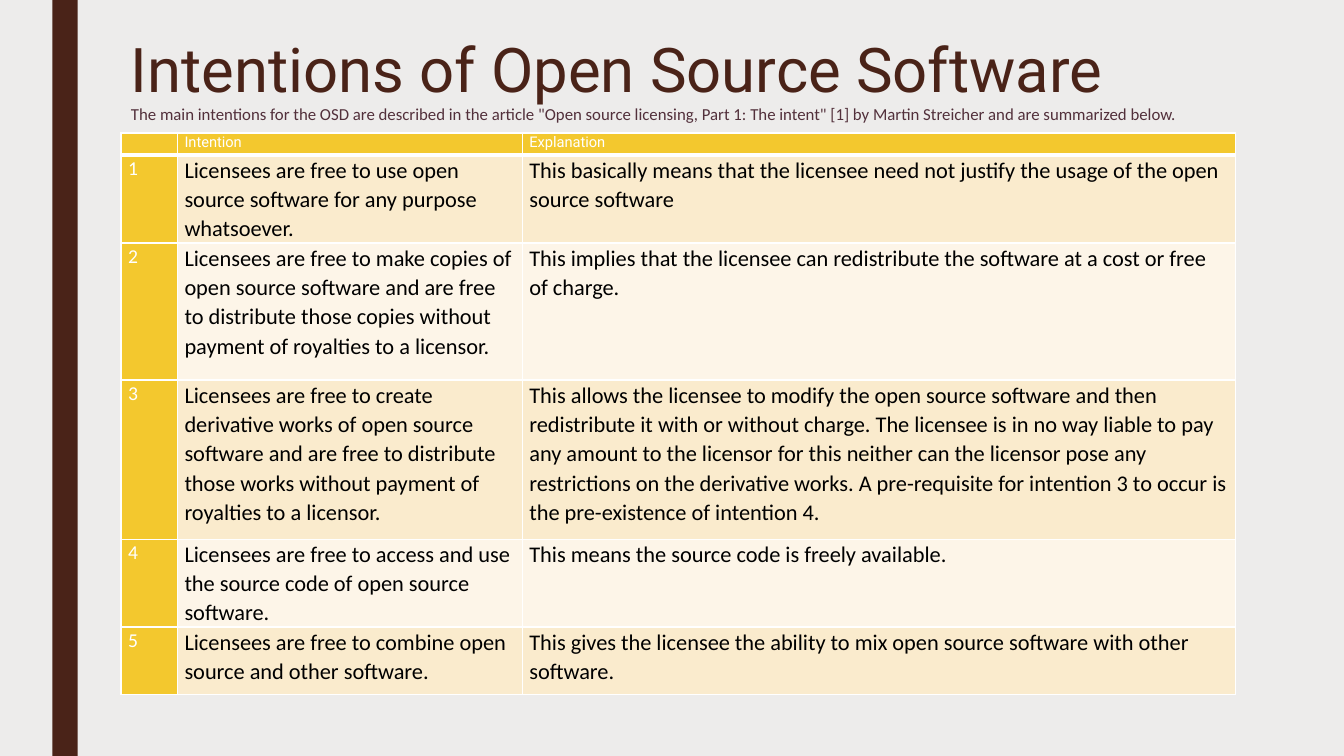
from lxml.etree import SubElement
from pptx import Presentation
from pptx.dml.color import RGBColor
from pptx.enum.shapes import MSO_SHAPE
from pptx.oxml.ns import qn
from pptx.util import Cm, Pt


def colour(value):
    return RGBColor.from_string(value)


def write(para, text, spacing, look):
    para.line_spacing = spacing
    span = para.add_run()
    span.text = text
    span.font.color.rgb = colour(look["color"])
    for name in ("name", "size"):
        setattr(span.font, name, look[name])


BROWN = "4A2318"
YELLOW = "F3C82E"
WHITE = "FFFFFF"
BANDS = ["FAEBCD", "FDF5E8"]
TITLE = {"name": "Roboto", "size": Pt(44), "color": BROWN}
SUBTITLE = {"name": "Calibri", "size": Pt(12), "color": "52303B"}
HEADER = {"name": "Roboto", "size": Pt(10.5), "color": WHITE}
NUMBER = {"name": "Calibri", "size": Pt(14), "color": WHITE}
BODY = {"name": "Calibri", "size": Pt(16), "color": "000000"}
MARGINS = {"margin_left": Cm(0.18), "margin_right": Cm(0.18), "margin_top": 0, "margin_bottom": 0}

intentions = [
    ("Licensees are free to use open source software for any purpose whatsoever.",
     "This basically means that the licensee need not justify the usage of the open source software"),
    ("Licensees are free to make copies of open source software and are free to distribute "
     "those copies without payment of royalties to a licensor.",
     "This implies that the licensee can redistribute the software at a cost or free of charge."),
    ("Licensees are free to create derivative works of open source software and are free to "
     "distribute those works without payment of royalties to a licensor.",
     "This allows the licensee to modify the open source software and then redistribute it with "
     "or without charge. The licensee is in no way liable to pay any amount to the licensor for "
     "this neither can the licensor pose any restrictions on the derivative works. A pre-requisite "
     "for intention 3 to occur is the pre-existence of intention 4."),
    ("Licensees are free to access and use the source code of open source software.",
     "This means the source code is freely available."),
    ("Licensees are free to combine open source and other software.",
     "This gives the licensee the ability to mix open source software with other software."),
]
rows = [("", "Intention", "Explanation")]
rows += [(str(number), *pair) for number, pair in enumerate(intentions, 1)]
widths = [1.42, 8.69, 17.98]
heights = [0.56, 1.98, 3.45, 4.01, 1.98, 1.7]

deck = Presentation()
deck.slide_width, deck.slide_height = Cm(33.87), Cm(19.05)
page = deck.slides.add_slide(deck.slide_layouts[6])
page.background.fill.solid()
page.background.fill.fore_color.rgb = colour("EDECEB")

stripe = page.shapes.add_shape(MSO_SHAPE.RECTANGLE, Cm(1.32), 0, Cm(0.64), deck.slide_height)
stripe.shadow.inherit = False
stripe.fill.solid()
stripe.fill.fore_color.rgb = colour(BROWN)
stripe.line.fill.background()

table = page.shapes.add_table(len(rows), len(widths), Cm(3.05), Cm(3.35),
                              Cm(sum(widths)), Cm(sum(heights))).table
table.horz_banding = False
table.first_col = True
for column, width in zip(table.columns, widths):
    column.width = Cm(width)

for row_index, (texts, height) in enumerate(zip(rows, heights)):
    table.rows[row_index].height = Cm(height)
    for column_index, text in enumerate(texts):
        cell = table.cell(row_index, column_index)
        for name, value in MARGINS.items():
            setattr(cell, name, value)

        look, fill = BODY, BANDS[(row_index - 1) % 2]
        if row_index == 0:
            look, fill = HEADER, YELLOW
        elif column_index == 0:
            look, fill = NUMBER, YELLOW

        para = cell.text_frame.paragraphs[0]
        if text:
            write(para, text, 1.07, look)
        else:
            SubElement(para._p, qn("a:endParaRPr"), sz="1050")

        properties = cell._tc.get_or_add_tcPr()
        for side in ("lnL", "lnR", "lnT", "lnB"):
            points = 3 if row_index == 0 and side == "lnB" else 1
            border = SubElement(properties, qn("a:" + side), w=str(Pt(points)))
            SubElement(SubElement(border, qn("a:solidFill")), qn("a:srgbClr"), val=WHITE)
        cell.fill.solid()
        cell.fill.fore_color.rgb = colour(fill)

box = page.shapes.add_textbox(Cm(3.05), Cm(0.89), Cm(28.09), Cm(4.11))
box.text_frame.word_wrap = True
write(box.text_frame.paragraphs[0], "Intentions of Open Source Software", 0.89, TITLE)
write(box.text_frame.add_paragraph(),
      'The main intentions for the OSD are described in the article "Open source licensing, '
      'Part 1: The intent" [1] by Martin Streicher and are summarized below.', 0.89, SUBTITLE)

deck.save("out.pptx")
